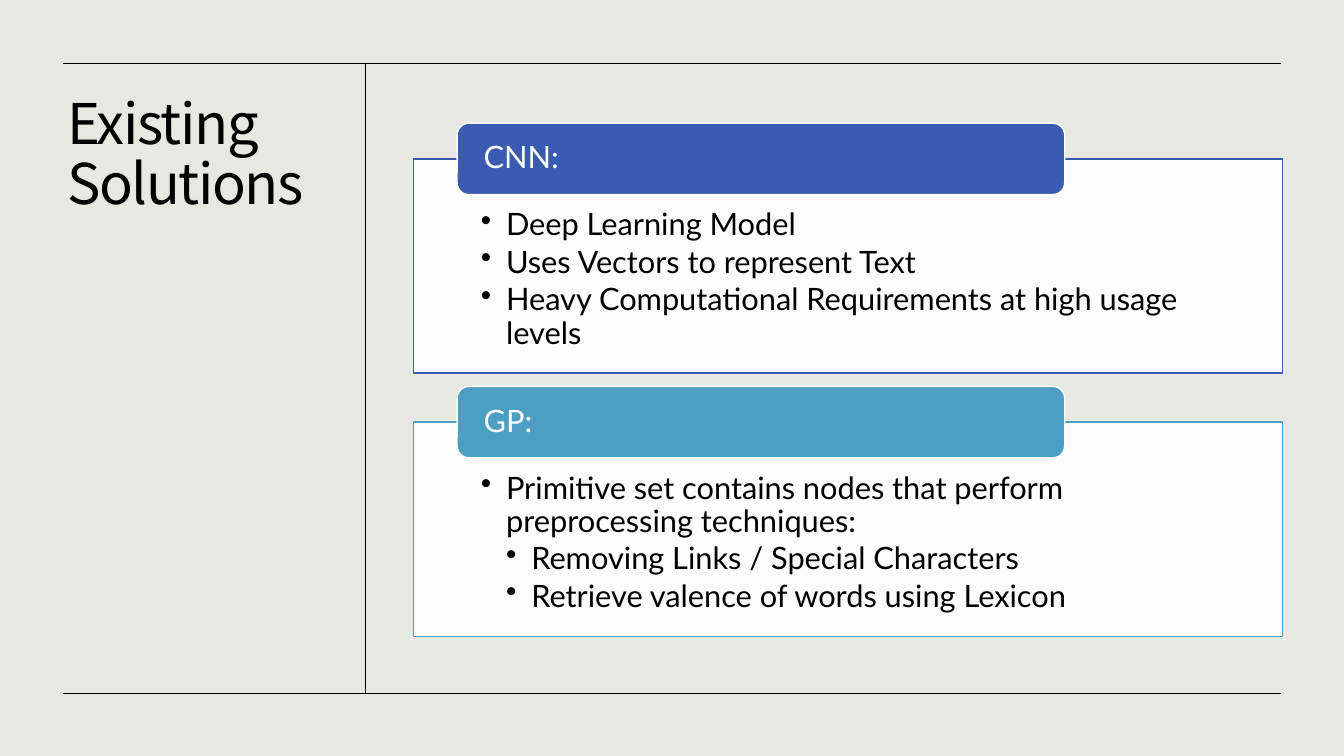
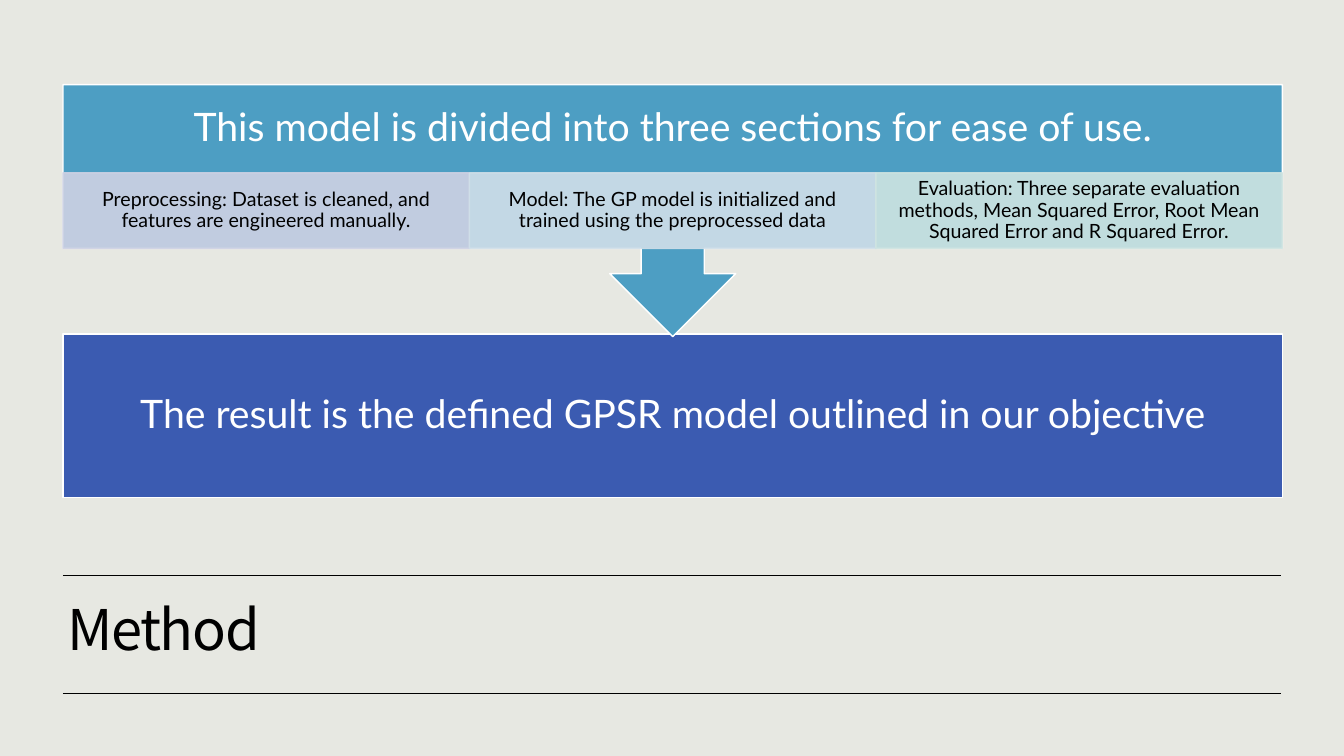
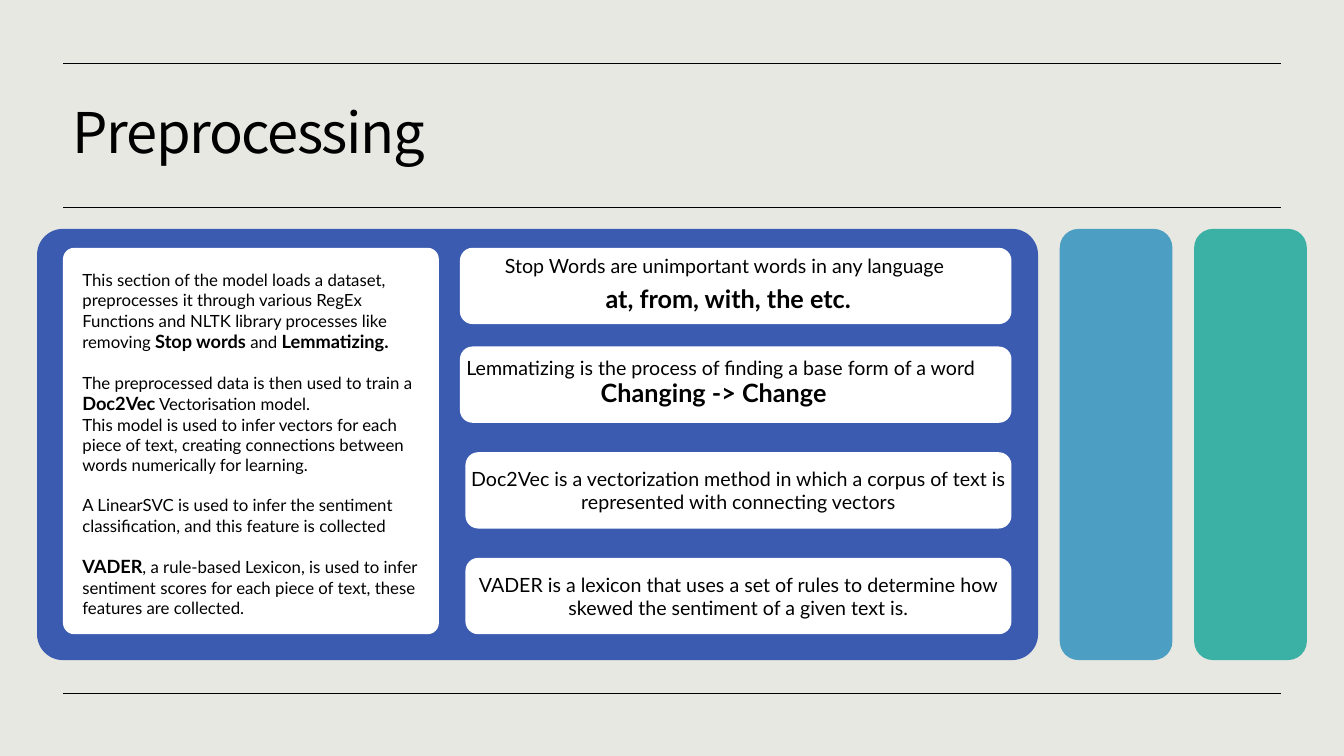
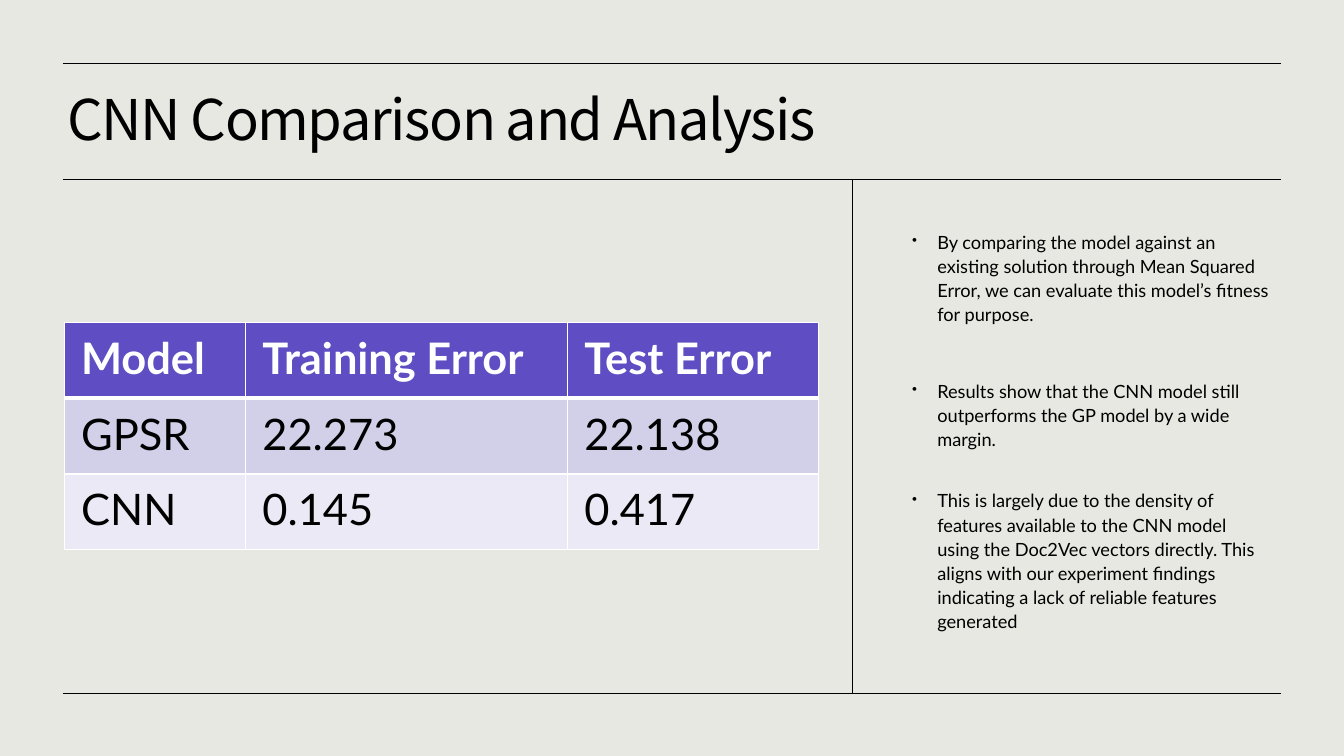
"""Build four slides on genetic programming for sentiment regression."""
from dataclasses import dataclass, replace
from typing import Any, NamedTuple, Optional, Sequence

from lxml import etree
from pptx import Presentation
from pptx.dml.color import RGBColor
from pptx.enum import shapes, text
from pptx.oxml import ns
from pptx.util import Pt


@dataclass(frozen=True)
class Theme:
    background: str = "E7E8E2"
    ink: str = "000000"
    paper: str = "FFFFFF"
    blue: str = "3B5BB1"
    sky: str = "4D9EC3"
    teal: str = "3BB1A5"
    section_tints: tuple[str, ...] = ("CED2E4", "D0DFE9", "CEE4E1")
    table_header: str = "5E4DC3"
    table_bands: tuple[str, ...] = ("D2D0E9", "EAE9F5")
    title_font: str = "Noto Sans CJK KR"
    body_font: str = "Lato"
    title_size: float = 40
    table_size: float = 31
    banner_size: float = 28
    card_size: float = 22
    example_size: float = 18
    note_size: float = 14
    strong_size: float = 13
    analysis_size: float = 13
    detail_size: float = 12


THEME = Theme()
LEFT, RIGHT, TOP, BOTTOM = 45, 915, 45, 495


class Box(NamedTuple):
    left: float
    top: float
    width: float
    height: float


class Insets(NamedTuple):
    left: float = 7.2
    top: float = 3.6
    right: float = 7.2
    bottom: float = 3.6


class Run(NamedTuple):
    text: str
    strong: bool = False


@dataclass(frozen=True)
class Line:
    runs: tuple[Run, ...]
    level: int = 0
    before: float = 0


@dataclass(frozen=True)
class Style:
    size: float
    color: str = THEME.ink
    font: str = THEME.body_font
    bold: bool = False
    align: Any = text.PP_ALIGN.LEFT
    anchor: Any = text.MSO_ANCHOR.TOP
    insets: Insets = Insets()
    spacing: float = 1.0
    after: float = 0
    bullet_percent: Optional[int] = None
    tracking: int = 0


@dataclass(frozen=True)
class Card:
    heading: str
    color: str
    top: float
    points: tuple[Line, ...]


MIDDLE, CENTER = text.MSO_ANCHOR.MIDDLE, text.PP_ALIGN.CENTER
TITLE = Style(THEME.title_size, font=THEME.title_font, spacing=0.9, tracking=-100)
CARD_HEADING = Style(THEME.card_size, THEME.paper, anchor=MIDDLE,
                     insets=Insets(16.5, 0, 16.5, 0), spacing=0.9)
CARD_BODY = Style(THEME.card_size, insets=Insets(48, 36, 48, 12), spacing=0.9,
                  after=3, bullet_percent=100)
BANNER = Style(THEME.banner_size, THEME.paper, align=CENTER, anchor=MIDDLE,
               insets=Insets(16, 16, 16, 16), spacing=0.9)
SECTION = Style(THEME.note_size, align=CENTER, anchor=MIDDLE,
                insets=Insets(8, 1.5, 8, 1.5), spacing=0.9)
DETAIL = Style(THEME.detail_size, insets=Insets(11.5, 13.5, 8, 0))
NOTE = Style(THEME.note_size)
CENTERED_NOTE = replace(NOTE, align=CENTER, anchor=MIDDLE, insets=Insets(0, 0, 0, 0))
EXAMPLE = Style(THEME.example_size, bold=True)
ANALYSIS = Style(THEME.analysis_size, spacing=1.1, bullet_percent=80)
CELL = Style(THEME.table_size, insets=Insets(12, 6.5, 12, 6.5))
HEADER_CELL = replace(CELL, color=THEME.paper, bold=True)


def rgb(color: str) -> RGBColor:
    return RGBColor.from_string(color)


def plain(words: str, level: int = 0, before: float = 0) -> Line:
    return Line((Run(words),), level, before)


def add_bullet(paragraph: Any, level: int, percent: int) -> None:
    properties = paragraph._p.get_or_add_pPr()
    properties.set("marL", str(Pt(18 * (level + 1))))
    properties.set("indent", str(-Pt(18)))
    defaults = properties.find(ns.qn("a:defRPr"))
    for tag, name, value in (("a:buSzPct", "val", str(percent * 1000)),
                             ("a:buChar", "char", "•")):
        bullet = etree.Element(ns.qn(tag))
        bullet.set(name, value)
        defaults.addprevious(bullet)


def write(frame: Any, lines: Sequence[Line], style: Style) -> None:
    frame.word_wrap = True
    frame.vertical_anchor = style.anchor
    (frame.margin_left, frame.margin_top,
     frame.margin_right, frame.margin_bottom) = map(Pt, style.insets)
    for index, line in enumerate(lines):
        paragraph = frame.add_paragraph() if index else frame.paragraphs[0]
        paragraph.font.name = style.font
        paragraph.font.size = Pt(style.size)
        paragraph.font.bold = style.bold
        paragraph.font.color.rgb = rgb(style.color)
        paragraph.alignment = style.align
        paragraph.line_spacing = style.spacing
        paragraph.space_before = Pt(line.before)
        paragraph.space_after = Pt(style.after)
        if style.bullet_percent:
            add_bullet(paragraph, line.level, style.bullet_percent)
        for part in line.runs:
            run = paragraph.add_run()
            run.text = part.text
            if part.strong:
                run.font.bold = True
                run.font.size = Pt(THEME.strong_size)
            if style.tracking:
                run._r.get_or_add_rPr().set("spc", str(style.tracking))


def add_label(slide: Any, box: Box, lines: Sequence[Line], style: Style) -> None:
    label = slide.shapes.add_textbox(*map(Pt, box))
    write(label.text_frame, lines, style)


def add_panel(slide: Any, kind: Any, box: Box, fill: str,
              outline: Optional[str] = None, corner: Optional[float] = None) -> Any:
    panel = slide.shapes.add_shape(kind, *map(Pt, box))
    panel.shadow.inherit = False
    panel.fill.solid()
    panel.fill.fore_color.rgb = rgb(fill)
    if outline:
        panel.line.color.rgb = rgb(outline)
        panel.line.width = Pt(1)
    else:
        panel.line.fill.background()
    if corner is not None:
        panel.adjustments[0] = corner
    return panel


def make_translucent(element: Any) -> None:
    for color in element.iter(ns.qn("a:srgbClr")):
        etree.SubElement(color, ns.qn("a:alpha")).set("val", "90000")


def add_rule(slide: Any, x1: float, y1: float, x2: float, y2: float) -> None:
    rule = slide.shapes.add_connector(shapes.MSO_CONNECTOR.STRAIGHT,
                                      *map(Pt, (x1, y1, x2, y2)))
    rule.line.color.rgb = rgb(THEME.ink)
    rule.line.width = Pt(0.5)
    etree.SubElement(rule._element.spPr, ns.qn("a:effectLst"))


def start_slide(deck: Any, title: str, box: Box, rules: Sequence[float],
                anchor: Any = MIDDLE) -> Any:
    slide = deck.slides.add_slide(deck.slide_layouts[6])
    slide.background.fill.solid()
    slide.background.fill.fore_color.rgb = rgb(THEME.background)
    add_label(slide, box, [plain(title)], replace(TITLE, anchor=anchor))
    for y in rules:
        add_rule(slide, LEFT, y, RIGHT, y)
    return slide


def add_card(slide: Any, card: Card) -> None:
    body = add_panel(slide, shapes.MSO_SHAPE.RECTANGLE,
                     Box(295.5, card.top, 620.5, 153), THEME.paper, card.color)
    make_translucent(body._element.spPr.find(ns.qn("a:solidFill")))
    write(body.text_frame, card.points, CARD_BODY)
    heading = add_panel(slide, shapes.MSO_SHAPE.ROUNDED_RECTANGLE,
                        Box(326.5, card.top - 25.5, 434, 51), card.color, THEME.paper)
    write(heading.text_frame, [plain(card.heading)], CARD_HEADING)


def build_solutions(deck: Any) -> None:
    slide = start_slide(deck, "Existing Solutions", Box(41, 65, 196, 417),
                        (TOP, BOTTOM), text.MSO_ANCHOR.TOP)
    add_rule(slide, 261, TOP, 261, BOTTOM)
    cards = (
        Card("CNN:", THEME.blue, 113.5, (
            plain("Deep Learning Model"),
            plain("Uses Vectors to represent Text"),
            plain("Heavy Computational Requirements at high usage levels"))),
        Card("GP:", THEME.sky, 301.5, (
            plain("Primitive set contains nodes that perform preprocessing techniques:"),
            plain("Removing Links / Special Characters", 1),
            plain("Retrieve valence of words using Lexicon", 1))),
    )
    for card in cards:
        add_card(slide, card)


def build_method(deck: Any) -> None:
    slide = start_slide(deck, "Method", Box(41, 416, 870, 72), (411, BOTTOM))
    width = RIGHT - LEFT + 1
    result = add_panel(slide, shapes.MSO_SHAPE.RECTANGLE,
                       Box(LEFT, 238.5, width, 117), THEME.blue, THEME.paper)
    write(result.text_frame,
          [plain("The result is the defined GPSR model outlined in our objective")], BANNER)
    overview = add_panel(slide, shapes.MSO_SHAPE.DOWN_ARROW_CALLOUT,
                         Box(LEFT, 60.5, width, 180), THEME.sky, THEME.paper)
    write(overview.text_frame,
          [plain("This model is divided into three sections for ease of use.")],
          replace(BANNER, insets=Insets(16, 16, 16, 70)))
    sections = (
        "Preprocessing: Dataset is cleaned, and features are engineered manually.",
        "Model: The GP model is initialized and trained using the preprocessed data",
        "Evaluation: Three separate evaluation methods, Mean Squared Error, "
        "Root Mean Squared Error and R Squared Error.",
    )
    step = width / len(sections)
    for index, (words, tint) in enumerate(zip(sections, THEME.section_tints)):
        section = add_panel(slide, shapes.MSO_SHAPE.RECTANGLE,
                            Box(LEFT + index * step, 123.5, step, 54), tint, tint)
        make_translucent(section._element.spPr)
        write(section.text_frame, [plain(words)], SECTION)


def build_preprocessing(deck: Any) -> None:
    slide = start_slide(deck, "Preprocessing", Box(45, 54, 870, 86), (TOP, 148, BOTTOM))
    rounded = shapes.MSO_SHAPE.ROUNDED_RECTANGLE
    for left, width, color, corner in ((757, 80.5, THEME.sky, None),
                                       (853, 80.5, THEME.teal, None),
                                       (26.5, 715, THEME.blue, 0.06)):
        add_panel(slide, rounded, Box(left, 163.5, width, 308), color, corner=corner)
    gap = THEME.detail_size * 1.2
    details = (
        Line((Run("This section of the model loads a dataset, preprocesses it through "
                  "various RegEx Functions and NLTK library processes like removing "),
              Run("Stop words ", True), Run("and "), Run("Lemmatizing.", True))),
        Line((Run("The preprocessed data is then used to train a "),
              Run("Doc2Vec", True), Run(" Vectorisation model.")), before=gap),
        plain("This model is used to infer vectors for each piece of text, "
              "creating connections between words numerically for learning."),
        plain("A LinearSVC is used to infer the sentiment classification, "
              "and this feature is collected", before=gap),
        Line((Run("VADER", True),
              Run(", a rule-based Lexicon, is used to infer sentiment scores for each "
                  "piece of text, these features are collected.")), before=gap),
    )
    summary = add_panel(slide, rounded, Box(45, 177, 268.5, 276), THEME.paper, corner=0.03)
    write(summary.text_frame, details, DETAIL)
    definitions = (
        (328.5, 177, ""),
        (328.5, 247.5, ""),
        (332.5, 323, "Doc2Vec is a vectorization method in which a corpus of text "
                     "is represented with connecting vectors"),
        (332.5, 398.5, "VADER is a lexicon that uses a set of rules to determine how "
                       "skewed the sentiment of a given text is."),
    )
    for left, top, words in definitions:
        definition = add_panel(slide, rounded, Box(left, top, 722.5 - left, 54.5), THEME.paper)
        if words:
            write(definition.text_frame, [plain(words)], CENTERED_NOTE)
    labels = (
        (Box(353.5, 178, 378, 24.5), "Stop Words are unimportant words in any language", NOTE),
        (Box(425.5, 199, 204, 29), "at, from, with, the etc.", EXAMPLE),
        (Box(326, 250.5, 395.5, 24.5),
         "Lemmatizing is the process of finding a base form of a word", NOTE),
        (Box(422, 266, 204, 29), "Changing -> Change", EXAMPLE),
    )
    for box, words, style in labels:
        add_label(slide, box, [plain(words)], style)


def set_borders(cell: Any, top: float, bottom: float) -> None:
    properties = cell._tc.get_or_add_tcPr()
    for index, (side, width) in enumerate((("L", 1), ("R", 1), ("T", top), ("B", bottom))):
        border = etree.Element(ns.qn(f"a:ln{side}"))
        border.set("w", str(Pt(width)))
        fill = etree.SubElement(border, ns.qn("a:solidFill"))
        etree.SubElement(fill, ns.qn("a:srgbClr")).set("val", THEME.paper)
        properties.insert(index, border)


def add_error_table(slide: Any, rows: Sequence[Sequence[str]], box: Box,
                    widths: Sequence[float]) -> None:
    errors = slide.shapes.add_table(len(rows), len(widths), *map(Pt, box)).table
    for column, width in zip(errors.columns, widths):
        column.width = Pt(width)
    fills = (THEME.table_header, *THEME.table_bands)
    for row, (values, fill) in enumerate(zip(rows, fills)):
        style = CELL if row else HEADER_CELL
        for column, value in enumerate(values):
            cell = errors.cell(row, column)
            (cell.margin_left, cell.margin_top,
             cell.margin_right, cell.margin_bottom) = map(Pt, style.insets)
            write(cell.text_frame, [plain(value)], style)
            cell.fill.solid()
            cell.fill.fore_color.rgb = rgb(fill)
            set_borders(cell, 3 if row == 1 else 1, 1 if row else 3)


def build_comparison(deck: Any) -> None:
    slide = start_slide(deck, "CNN Comparison and Analysis", Box(41, 54, 875, 67),
                        (TOP, 128, BOTTOM))
    add_rule(slide, 609, 128, 609, BOTTOM)
    findings = (
        plain("By comparing the model against an existing solution through Mean Squared "
              "Error, we can evaluate this model’s fitness for purpose."),
        plain("Results show that the CNN model still outperforms the GP model "
              "by a wide margin.", before=37.5),
        plain("This is largely due to the density of features available to the CNN model "
              "using the Doc2Vec vectors directly. This aligns with our experiment findings "
              "indicating a lack of reliable features generated", before=27),
    )
    add_label(slide, Box(644.5, 160, 271.5, 312.5), findings, ANALYSIS)
    add_error_table(slide, (("Model", "Training Error", "Test Error"),
                            ("GPSR", "22.273", "22.138"),
                            ("CNN", "0.145", "0.417")),
                    Box(46, 230.5, 538.5, 162), (129.5, 230, 179))


def main() -> None:
    deck = Presentation()
    deck.slide_width, deck.slide_height = Pt(960), Pt(540)
    for build in (build_solutions, build_method, build_preprocessing, build_comparison):
        build(deck)
    deck.save("out.pptx")


if __name__ == "__main__":
    main()
